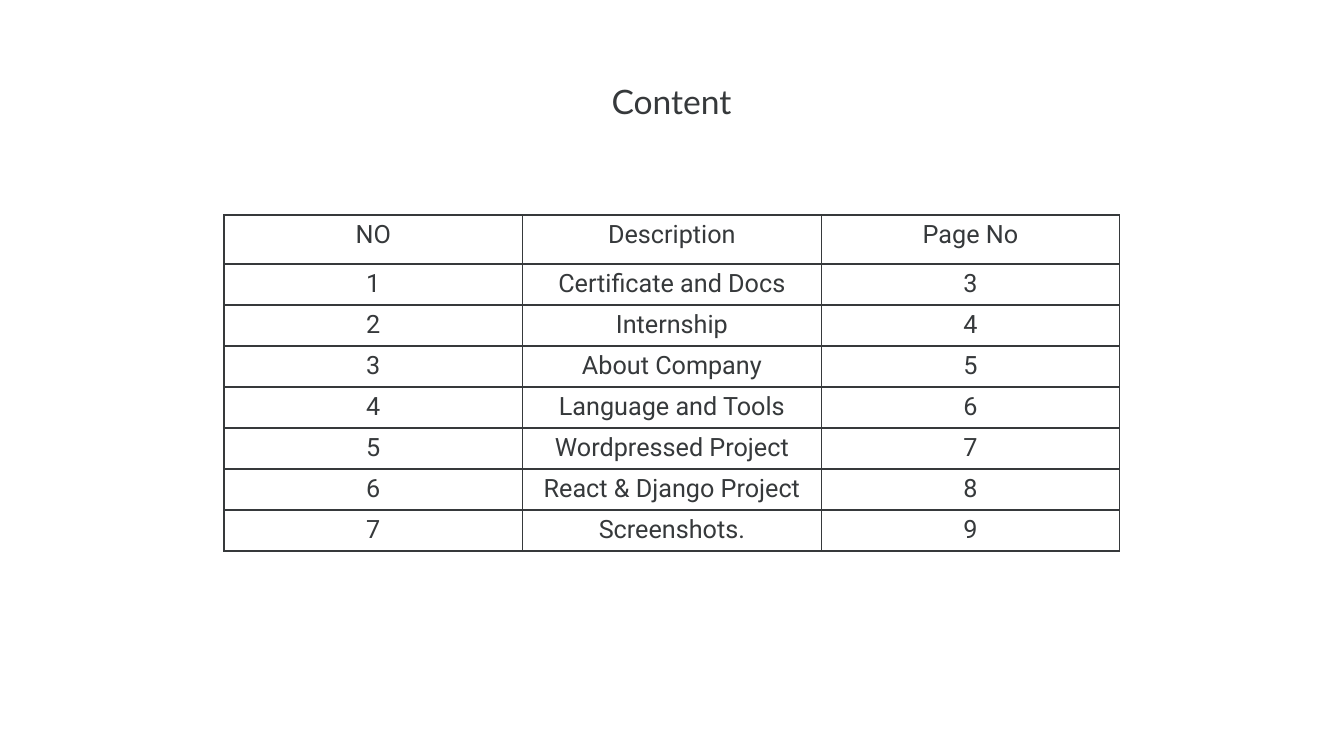
"""Build the content slide: a title above a table of sections and pages."""
from lxml.etree import SubElement
from pptx import Presentation
from pptx.dml.color import RGBColor
from pptx.enum.text import PP_ALIGN
from pptx.oxml.ns import qn
from pptx.util import Emu, Pt

TITLE = "Content"
HEAD = ("NO", "Description", "Page No")
TOPICS = [
    "Certificate and Docs",
    "Internship",
    "About Company",
    "Language and Tools",
    "Wordpressed Project",
    "React & Django Project",
    "Screenshots.",
]
FIRST_PAGE = 3
INK = "36393B"
PAPER = "FFFFFF"
LEFT, TOP, WIDTH = 224, 215, 896
HEAD_H, ROW_H = 49, 41


def px(count):
    return Emu(round(count * 914400 / 100.8))


def color(code):
    return RGBColor.from_string(code)


def write(frame, text, face, size):
    para = frame.paragraphs[0]
    para.alignment = PP_ALIGN.CENTER
    run = para.add_run()
    run.text = text
    run.font.name = face
    run.font.size = Pt(size)
    run.font.color.rgb = color(INK)


def border(cell):
    props = cell._tc.get_or_add_tcPr()
    for spot, side in enumerate(("lnL", "lnR", "lnT", "lnB")):
        line = SubElement(props, qn(f"a:{side}"), w=str(Pt(1)))
        fill = SubElement(line, qn("a:solidFill"))
        SubElement(fill, qn("a:srgbClr"), val=INK)
        props.insert(spot, line)


def main():
    deck = Presentation()
    deck.slide_width, deck.slide_height = px(1344), px(756)
    slide = deck.slides.add_slide(deck.slide_layouts[6])
    slide.background.fill.solid()
    slide.background.fill.fore_color.rgb = color(PAPER)

    title = slide.shapes.add_textbox(px(521), px(76), px(301), px(50))
    title.text_frame.word_wrap = True
    write(title.text_frame, TITLE, "Lato", 24)

    rows = [HEAD] + [
        (str(num), topic, str(num + FIRST_PAGE - 1))
        for num, topic in enumerate(TOPICS, 1)
    ]
    height = HEAD_H + ROW_H * len(TOPICS)
    table = slide.shapes.add_table(
        len(rows), len(HEAD), px(LEFT), px(TOP), px(WIDTH), px(height)
    ).table
    table.first_row = table.horz_banding = False
    for col in table.columns:
        col.width = px(WIDTH / len(HEAD))
    for r, row in enumerate(rows):
        table.rows[r].height = px(ROW_H if r else HEAD_H)
        for c, text in enumerate(row):
            cell = table.cell(r, c)
            cell.fill.background()
            border(cell)
            write(cell.text_frame, text, "Roboto", 18)

    deck.save("out.pptx")


if __name__ == "__main__":
    main()
